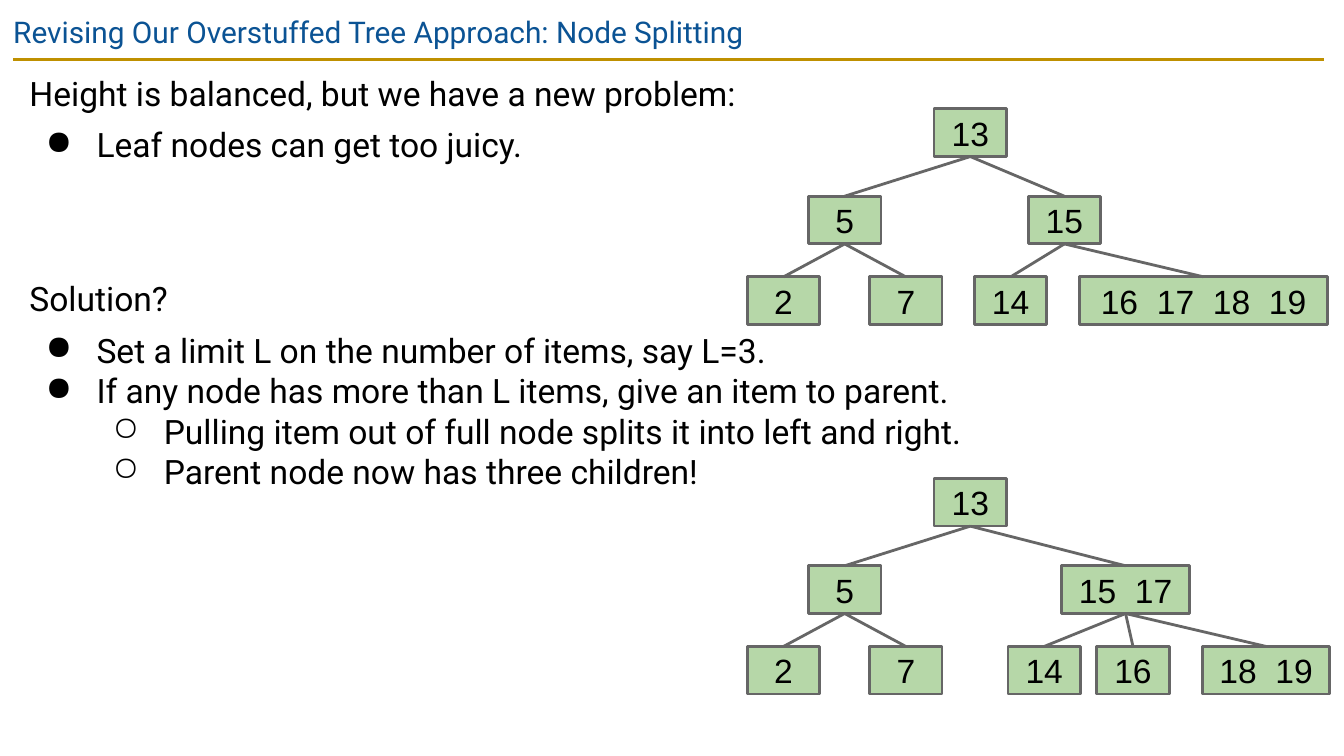
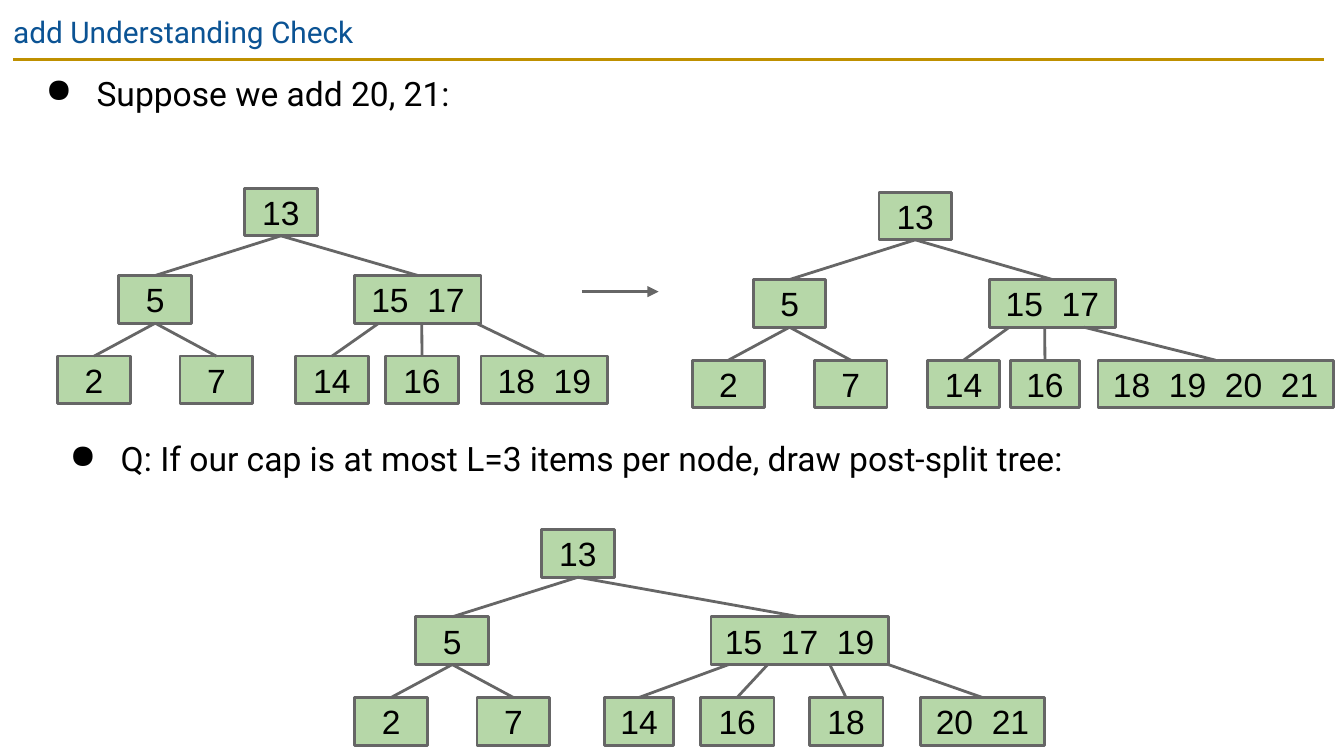
from dataclasses import dataclass

from lxml import etree
from pptx import Presentation
from pptx.dml.color import RGBColor
from pptx.enum.shapes import MSO_CONNECTOR, MSO_SHAPE
from pptx.enum.text import MSO_ANCHOR, PP_ALIGN
from pptx.oxml.ns import qn
from pptx.util import Inches, Pt

STRAIGHT = MSO_CONNECTOR.STRAIGHT
RECTANGLE = MSO_SHAPE.RECTANGLE
MIDDLE = MSO_ANCHOR.MIDDLE
CENTER = PP_ALIGN.CENTER

SLIDE_WIDTH = Inches(10)
SLIDE_HEIGHT = SLIDE_WIDTH * 9 // 16
CELL = SLIDE_WIDTH // 100
BLANK_LAYOUT = 6

NODE_WIDTH, NODE_HEIGHT = 5.4, 3.55
BRANCH_DROP, LEAF_DROP = 6.5, 12.5
KEY_GAP = "  "
BULLETS = {1: "●", 2: "○"}


@dataclass(frozen=True)
class Theme:
    """Colours, fonts and sizes shared by the slides."""

    title: RGBColor = RGBColor.from_string("0B5394")
    rule: RGBColor = RGBColor.from_string("BF9000")
    text: RGBColor = RGBColor.from_string("000000")
    node: RGBColor = RGBColor.from_string("B6D7A8")
    edge: RGBColor = RGBColor.from_string("666666")
    text_font: str = "Roboto"
    node_font: str = "Arial"
    title_size: Pt = Pt(16)
    text_size: Pt = Pt(18)
    line_width: Pt = Pt(1.5)
    gap: Pt = Pt(6)
    section_gap: Pt = Pt(61)


THEME = Theme()


@dataclass(frozen=True)
class Node:
    """A tree node; joint is the share of the parent's width where its edge starts."""

    keys: tuple
    left: float
    width: float = NODE_WIDTH
    joint: float = 0.5

    def at(self, share):
        """Return the column at a share of the node's width."""
        return self.left + share * self.width


ROOT = Node((13,), 13.9)
LEFT_BRANCH = Node((5,), 4.55)
LEFT_LEAVES = (Node((2,), 0), Node((7,), 9.1))


def grid(*cells):
    """Convert grid cells to slide lengths."""
    return [round(cell * CELL) for cell in cells]


def style_font(paragraph, name, size, color):
    """Set the font of a whole paragraph."""
    paragraph.font.name = name
    paragraph.font.size = size
    paragraph.font.color.rgb = color


def add_bullet(paragraph, level):
    """Give a paragraph a hanging bullet of the given level."""
    properties = paragraph._p.get_or_add_pPr()
    properties.set("marL", str(level * Inches(0.5)))
    properties.set("indent", str(-Inches(0.38)))
    color = etree.SubElement(properties, qn("a:buClr"))
    etree.SubElement(color, qn("a:srgbClr")).set("val", str(THEME.text))
    etree.SubElement(properties, qn("a:buChar")).set("char", BULLETS[level])
    paragraph.level = level - 1


def add_text(slide, box, lines, size=THEME.text_size, color=THEME.text):
    """Add a text box from (text, bullet level, space before) lines."""
    frame = slide.shapes.add_textbox(*grid(*box)).text_frame
    frame.word_wrap = True
    frame.margin_left = frame.margin_right = CELL
    frame.margin_top = frame.margin_bottom = CELL
    for index, (text, level, space) in enumerate(lines):
        paragraph = frame.add_paragraph() if index else frame.paragraphs[0]
        paragraph.text = text
        if level:
            add_bullet(paragraph, level)
        paragraph.space_before = space
        style_font(paragraph, THEME.text_font, size, color)


def add_line(slide, start, end, color=THEME.edge, arrow=False):
    """Draw a straight line, with an arrowhead at its end if asked."""
    connector = slide.shapes.add_connector(STRAIGHT, *grid(*start, *end))
    connector.line.color.rgb = color
    connector.line.width = THEME.line_width
    properties = connector._element.spPr
    if arrow:
        outline = properties.find(qn("a:ln"))
        etree.SubElement(outline, qn("a:tailEnd")).set("type", "triangle")
    etree.SubElement(properties, qn("a:effectLst"))


def add_node(slide, node, left, top):
    """Draw one tree node with its keys."""
    box = grid(left + node.left, top, node.width, NODE_HEIGHT)
    shape = slide.shapes.add_shape(RECTANGLE, *box)
    shape.shadow.inherit = False
    shape.fill.solid()
    shape.fill.fore_color.rgb = THEME.node
    shape.line.color.rgb = THEME.edge
    shape.line.width = THEME.line_width
    frame = shape.text_frame
    frame.word_wrap = False
    frame.vertical_anchor = MIDDLE
    paragraph = frame.paragraphs[0]
    paragraph.text = KEY_GAP.join(map(str, node.keys))
    paragraph.alignment = CENTER
    style_font(paragraph, THEME.node_font, THEME.text_size, THEME.text)


def add_children(slide, parent, children, left, parent_top, child_top):
    """Draw child nodes and the edges that join them to their parent."""
    for child in children:
        add_node(slide, child, left, child_top)
        start = (left + parent.at(child.joint), parent_top + NODE_HEIGHT)
        add_line(slide, start, (left + child.at(0.5), child_top))


def add_tree(slide, left, top, right_branch, right_leaves):
    """Draw a tree whose left half is fixed and whose right half varies."""
    branch_top, leaf_top = top + BRANCH_DROP, top + LEAF_DROP
    add_node(slide, ROOT, left, top)
    add_children(slide, ROOT, (LEFT_BRANCH, right_branch), left, top, branch_top)
    for branch, leaves in ((LEFT_BRANCH, LEFT_LEAVES), (right_branch, right_leaves)):
        add_children(slide, branch, leaves, left, branch_top, leaf_top)


def add_titled_slide(presentation, title):
    """Add a slide with the title and the rule below it."""
    slide = presentation.slides.add_slide(presentation.slide_layouts[BLANK_LAYOUT])
    add_line(slide, (1, 4.4), (98.5, 4.4), THEME.rule)
    add_text(slide, (0, 0, 93.2, 4.3), [(title, 0, 0)], THEME.title_size, THEME.title)
    return slide


def build_splitting_slide(presentation):
    """Show a tree before and after its overfull leaf is split."""
    slide = add_titled_slide(
        presentation, "Revising Our Overstuffed Tree Approach: Node Splitting")
    add_text(slide, (1.2, 4.4, 93.2, 37.4), [
        ("Height is balanced, but we have a new problem:", 0, 0),
        ("Leaf nodes can get too juicy.", 1, THEME.gap),
        ("Solution?", 0, THEME.section_gap),
        ("Set a limit L on the number of items, say L=3.", 1, THEME.gap),
        ("If any node has more than L items, give an item to parent.", 1, 0),
        ("Pulling item out of full node splits it into left and right.", 2, 0),
        ("Parent node now has three children!", 2, 0),
    ])
    add_tree(slide, 55.6, 8.1, Node((15,), 20.9), (
        Node((14,), 16.9), Node((16, 17, 18, 19), 24.7, 18.5)))
    add_tree(slide, 55.6, 35.6, Node((15, 17), 23.4, 9.5), (
        Node((14,), 19.4), Node((16,), 26), Node((18, 19), 33.9, 9.4)))


def build_check_slide(presentation):
    """Show two additions to the tree and the split that follows."""
    slide = add_titled_slide(presentation, "add Understanding Check")
    add_text(slide, (1.2, 4.4, 93.2, 37.4), [("Suppose we add 20, 21:", 1, 0)])
    question = "Q: If our cap is at most L=3 items per node, draw post-split tree:"
    add_text(slide, (3, 31.6, 94.1, 6.6), [(question, 1, 0)])
    add_tree(slide, 4.3, 14, Node((15, 17), 22.1, 9.4), (
        Node((14,), 17.7, joint=0.19),
        Node((16,), 24.4, joint=0.53),
        Node((18, 19), 31.5, 9.4, 0.96)))
    add_line(slide, (43.3, 21.7), (49, 21.7), arrow=True)
    add_tree(slide, 51.5, 14.3, Node((15, 17), 22.1, 9.4), (
        Node((14,), 17.5, joint=0.16),
        Node((16,), 23.7, 5.1, 0.44),
        Node((18, 19, 20, 21), 30.2, 17.5, 0.75)))
    add_tree(slide, 26.4, 39.4, Node((15, 17, 19), 26.5, 13.2), (
        Node((14,), 18.6, 5.1, 0.1),
        Node((16,), 25.7, 5.5, 0.32),
        Node((18,), 33.8, 5.5, 0.67),
        Node((20, 21), 42.1, 9.2, 1)))


def main():
    """Build the presentation and save it."""
    presentation = Presentation()
    presentation.slide_width = SLIDE_WIDTH
    presentation.slide_height = SLIDE_HEIGHT
    build_splitting_slide(presentation)
    build_check_slide(presentation)
    presentation.save("out.pptx")


if __name__ == "__main__":
    main()
